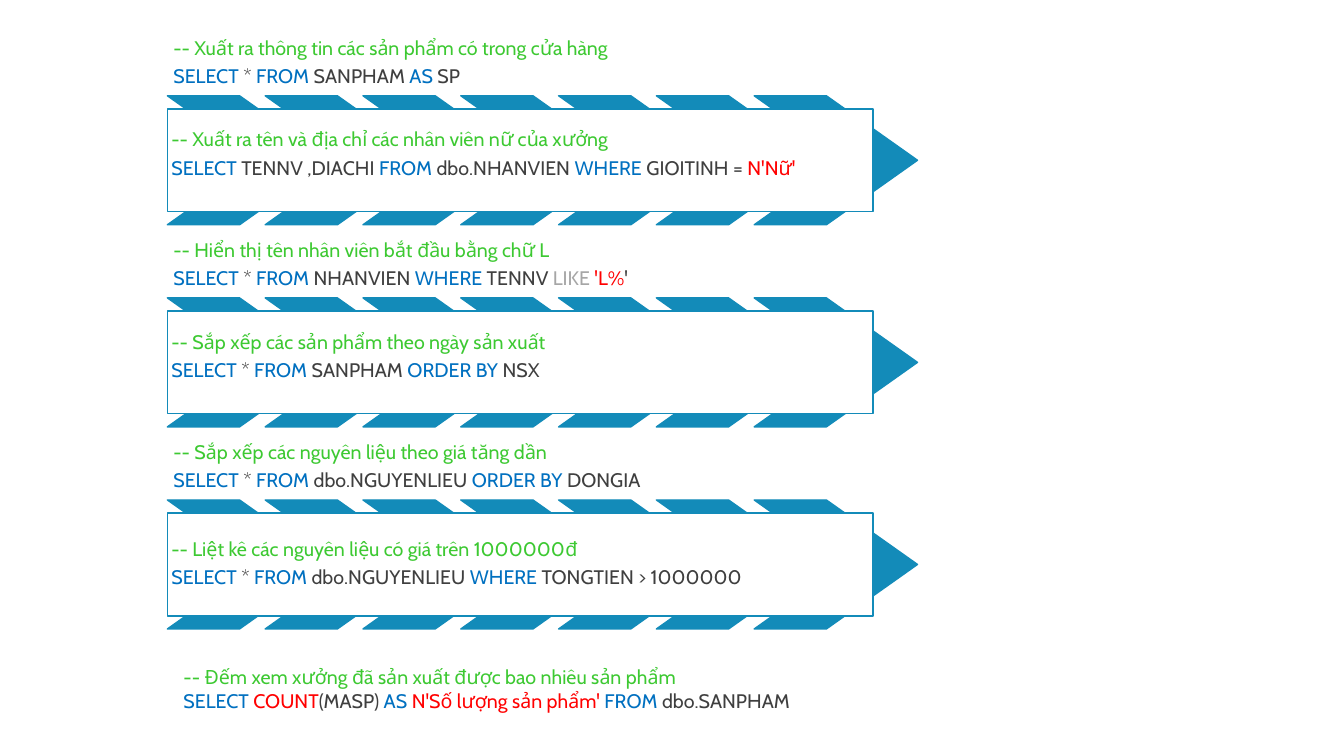
import pptx
import pptx.util
import pptx.dml.color
import pptx.enum.shapes
import pptx.enum.text

Inches, Pt = pptx.util.Inches, pptx.util.Pt
MSO_SHAPE = pptx.enum.shapes.MSO_SHAPE
ANCHOR = pptx.enum.text.MSO_ANCHOR

COLORS = {
    "comment": "3DC932",
    "keyword": "0070C0",
    "plain": "3F3F3F",
    "literal": "FF0000",
    "operator": "A6A6A6",
    "arrow": "138BB9",
    "panel": "FFFFFF",
}

LEFT = 1.66
FIRST_TOP, STEP_PITCH = 0.32, 2.005
CAPTION_W, CAPTION_H = 6.91, 0.63
CHEVRON_W, CHEVRON_H, CHEVRON_PITCH, CHEVRON_COUNT = 1.62, 1.28, 0.97, 7
PANEL_W, PANEL_H, PANEL_DROP = 7, 1.02, 0.13

# Each query is a comment and the coloured pieces of its statement.
STEPS = [
    (
        ("-- Xuất ra thông tin các sản phẩm có trong cửa hàng",
         [("SELECT", "keyword"), (" * ", "plain"), ("FROM", "keyword"),
          (" SANPHAM ", "plain"), ("AS", "keyword"), (" SP", "plain")]),
        ("-- Xuất ra tên và địa chỉ các nhân viên nữ của xưởng",
         [("SELECT", "keyword"), (" TENNV ,DIACHI ", "plain"), ("FROM ", "keyword"),
          ("dbo.NHANVIEN ", "plain"), ("WHERE", "keyword"),
          (" GIOITINH = ", "plain"), ("N'Nữ'", "literal")]),
        ANCHOR.BOTTOM,
    ),
    (
        ("-- Hiển thị tên nhân viên bắt đầu bằng chữ L",
         [("SELECT", "keyword"), (" * ", "plain"), ("FROM", "keyword"),
          (" NHANVIEN ", "plain"), ("WHERE", "keyword"), (" TENNV ", "plain"),
          ("LIKE ", "operator"), ("'L%", "literal"), ("'", "plain")]),
        ("-- Sắp xếp các sản phẩm theo ngày sản xuất",
         [("SELECT", "keyword"), (" * ", "plain"), ("FROM", "keyword"),
          (" SANPHAM ", "plain"), ("ORDER BY ", "keyword"), ("NSX", "plain")]),
        ANCHOR.BOTTOM,
    ),
    (
        ("-- Sắp xếp các nguyên liệu theo giá tăng dần",
         [("SELECT", "keyword"), (" * ", "plain"), ("FROM ", "keyword"),
          ("dbo.NGUYENLIEU ", "plain"), ("ORDER BY ", "keyword"), ("DONGIA", "plain")]),
        ("-- Liệt kê các nguyên liệu có giá trên 1000000đ",
         [("SELECT", "keyword"), (" * ", "plain"), ("FROM ", "keyword"),
          ("dbo.NGUYENLIEU ", "plain"), ("WHERE", "keyword"),
          (" TONGTIEN > 1000000", "plain")]),
        ANCHOR.MIDDLE,
    ),
]
COUNT_QUERY = (
    "-- Đếm xem xưởng đã sản xuất được bao nhiêu sản phẩm",
    [("SELECT ", "keyword"), ("COUNT", "literal"), ("(MASP) ", "plain"),
     ("AS ", "keyword"), ("N'Số lượng sản phẩm' ", "literal"),
     ("FROM", "keyword"), (" dbo.SANPHAM", "plain")],
)


def rgb(name):
    return pptx.dml.color.RGBColor.from_string(COLORS[name])


def write_query(frame, query, inset, line_spacing=0.9, space_after=5):
    comment, statement = query
    frame.word_wrap = True
    frame.margin_left = frame.margin_right = Inches(inset)
    frame.margin_top = frame.margin_bottom = Inches(inset)
    for index, pieces in enumerate([[(comment, "comment")], statement]):
        line = frame.paragraphs[0] if index == 0 else frame.add_paragraph()
        line.alignment = pptx.enum.text.PP_ALIGN.LEFT
        line.line_spacing = line_spacing
        line.space_after = Pt(space_after)
        for text, color in pieces:
            run = line.add_run()
            run.text = text
            run.font.name = "Cabin"
            run.font.size = Pt(14)
            run.font.color.rgb = rgb(color)


def add_caption(slide, left, top, query, **spacing):
    caption = slide.shapes.add_textbox(
        Inches(left), Inches(top), Inches(CAPTION_W), Inches(CAPTION_H))
    write_query(caption.text_frame, query, 0.06, **spacing)


def add_outlined(slide, kind, left, top, width, height, fill):
    shape = slide.shapes.add_shape(
        kind, Inches(left), Inches(top), Inches(width), Inches(height))
    shape.shadow.inherit = False
    shape.fill.solid()
    shape.fill.fore_color.rgb = rgb(fill)
    shape.line.color.rgb = rgb("arrow")
    shape.line.width = Pt(1)
    return shape


def add_step(slide, left, top, caption_query, panel_query, anchor):
    """A caption above a chevron band that carries a framed query."""
    add_caption(slide, left, top, caption_query)
    band_top = top + CAPTION_H
    for index in range(CHEVRON_COUNT):
        chevron = add_outlined(
            slide, MSO_SHAPE.CHEVRON, left + index * CHEVRON_PITCH, band_top,
            CHEVRON_W, CHEVRON_H, "arrow")
        chevron.adjustments[0] = 0.706
    panel = add_outlined(slide, MSO_SHAPE.RECTANGLE, left, band_top + PANEL_DROP,
                         PANEL_W, PANEL_H, "panel")
    write_query(panel.text_frame, panel_query, 0.04)
    panel.text_frame.vertical_anchor = anchor
    if anchor == ANCHOR.BOTTOM:
        panel.text_frame.margin_bottom = Inches(0.32)


def main():
    deck = pptx.Presentation()
    deck.slide_width, deck.slide_height = Inches(13.33), Inches(7.5)
    slide = deck.slides.add_slide(deck.slide_layouts[6])
    for index, step in enumerate(STEPS):
        add_step(slide, LEFT, FIRST_TOP + index * STEP_PITCH, *step)
    add_caption(slide, LEFT + 0.1, 6.54, COUNT_QUERY, line_spacing=1.0, space_after=0)
    deck.save("out.pptx")


if __name__ == "__main__":
    main()
